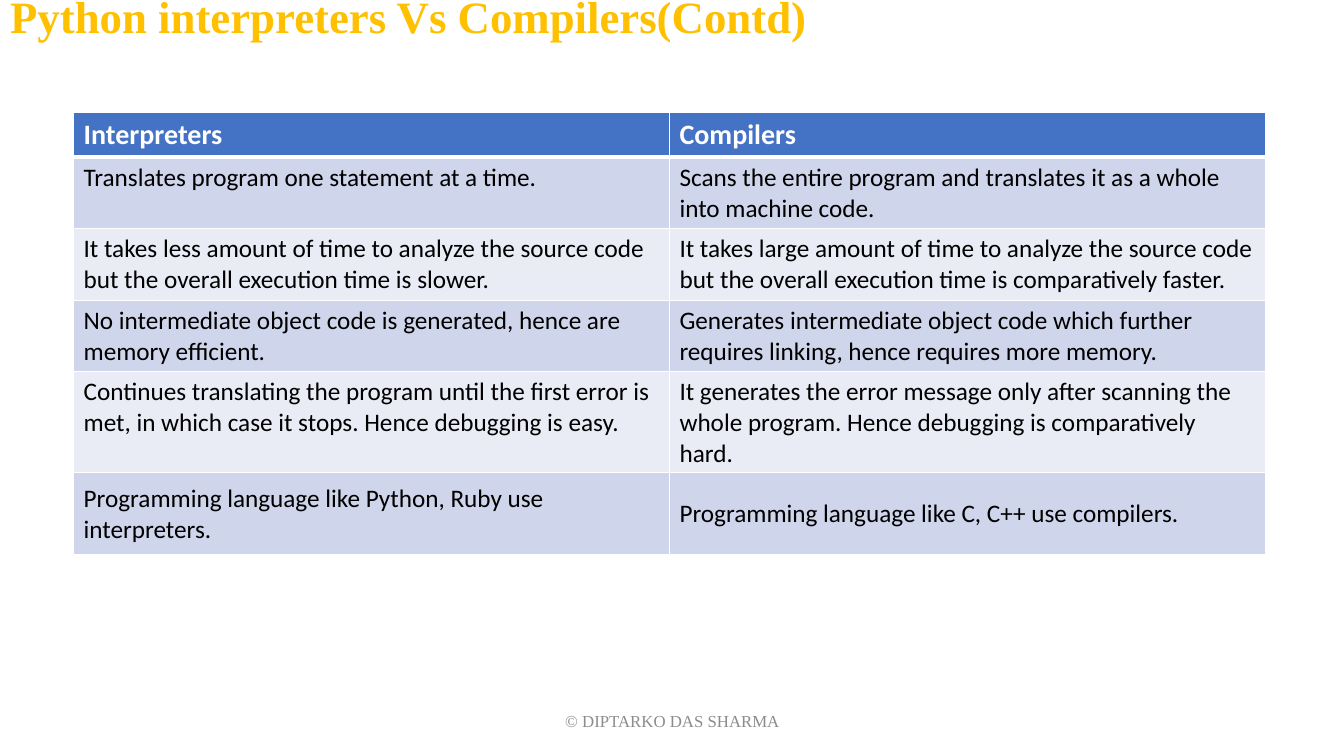
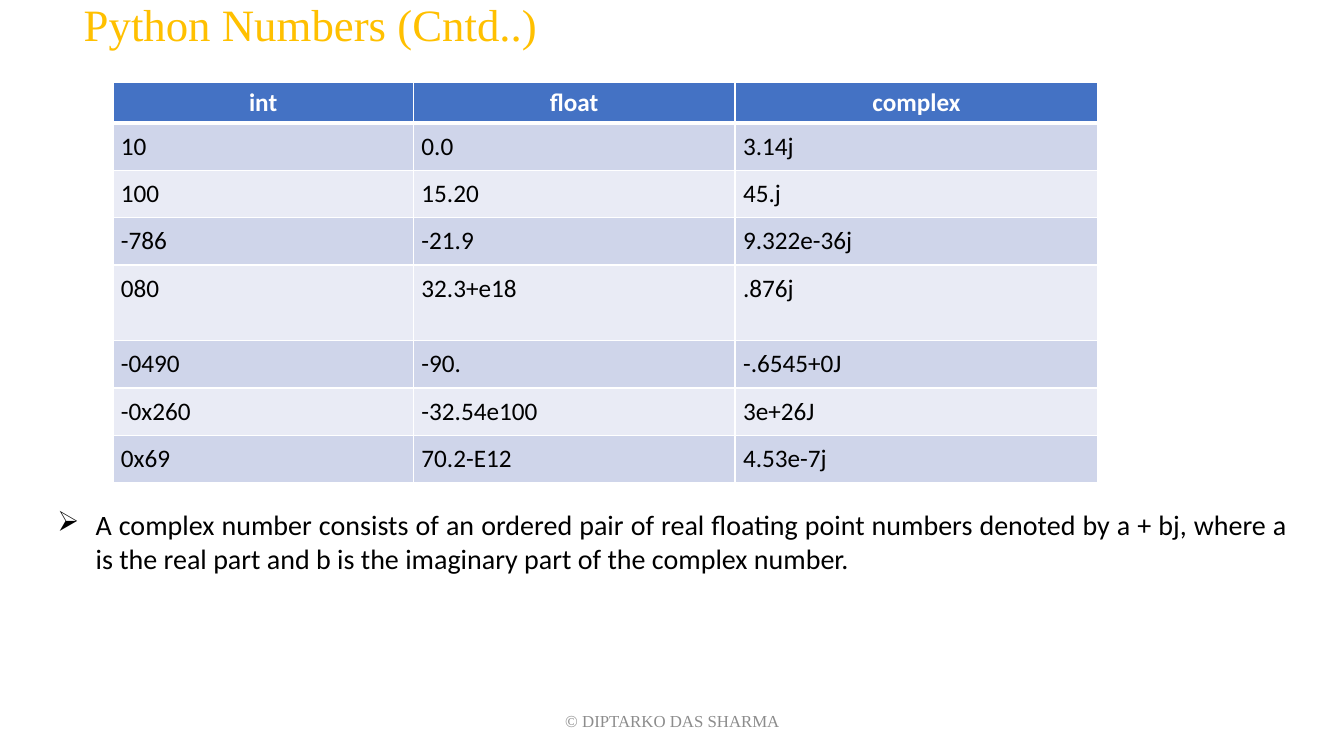
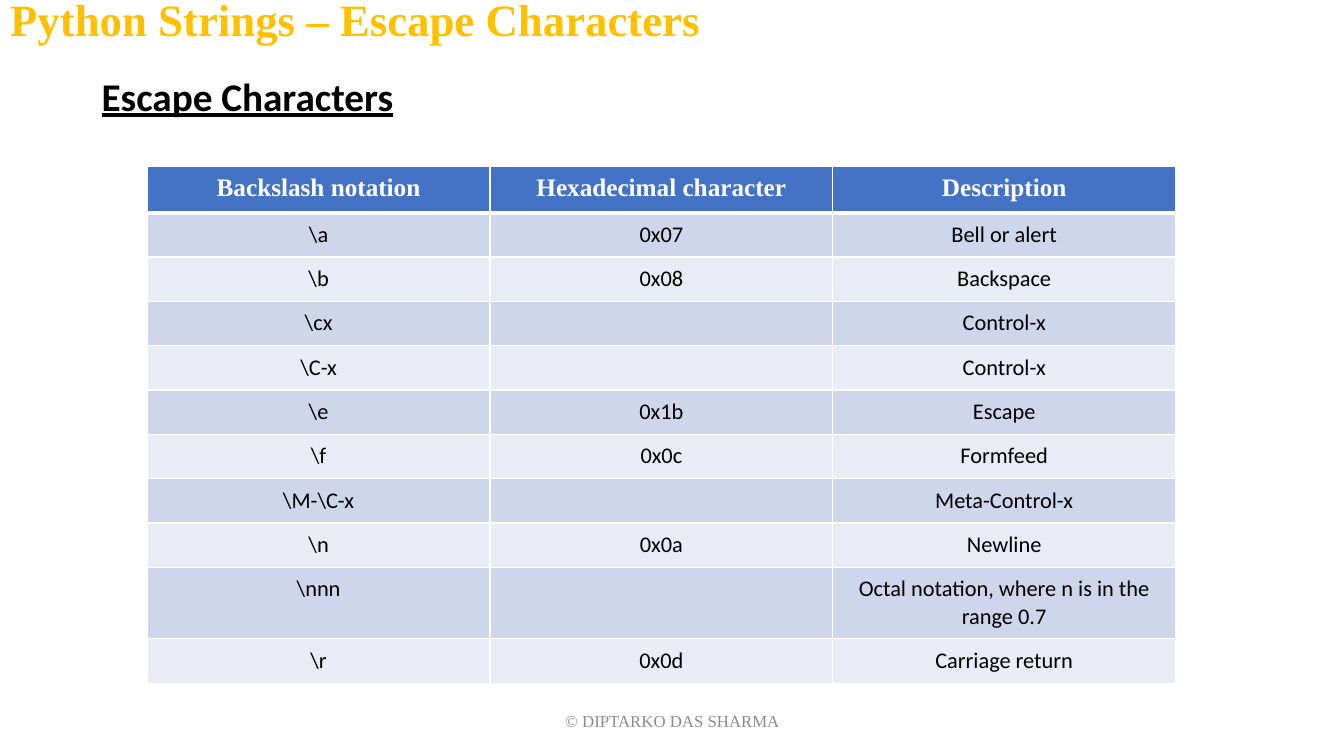
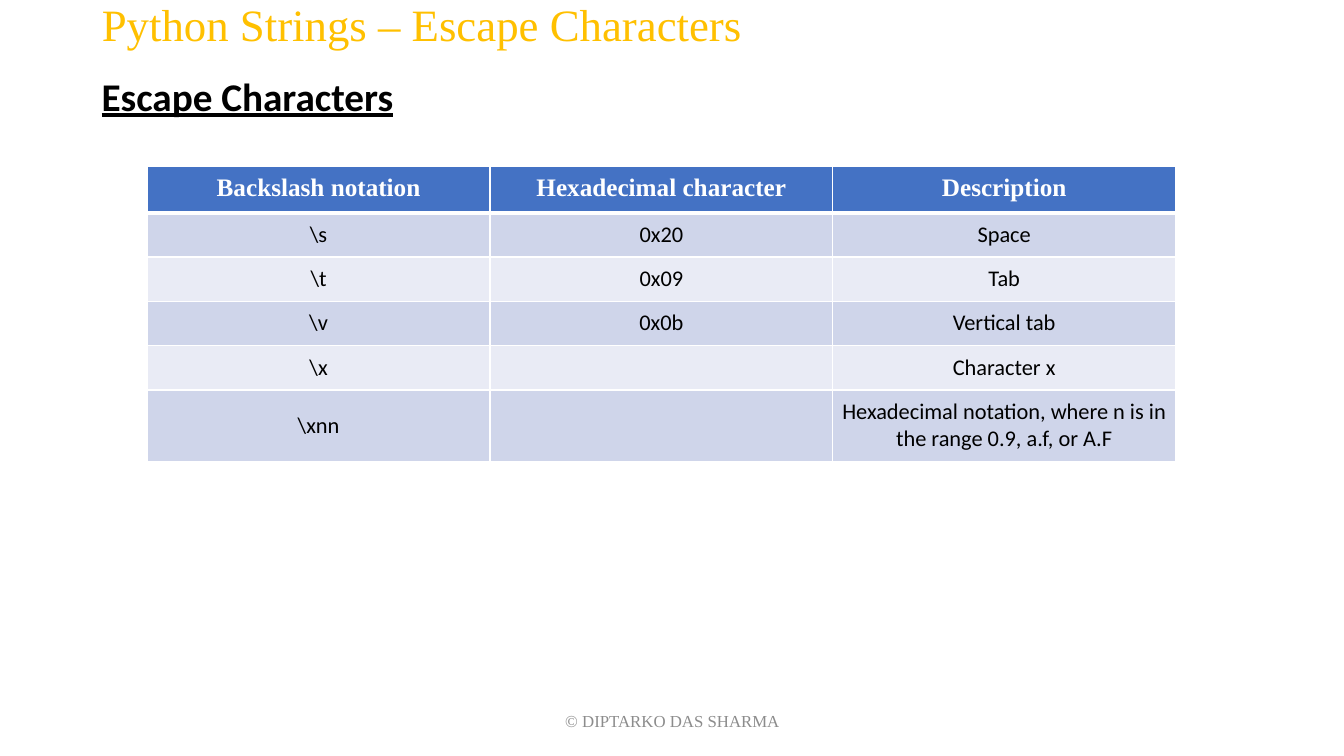
from dataclasses import dataclass
from typing import NamedTuple, Optional

from lxml.etree import SubElement
from pptx import Presentation
from pptx.dml.color import RGBColor
from pptx.enum.text import MSO_ANCHOR, MSO_AUTO_SIZE, PP_ALIGN
from pptx.oxml.ns import qn
from pptx.slide import Slide
from pptx.table import Table, _Cell
from pptx.text.text import TextFrame, _Paragraph
from pptx.util import Emu, Pt

EMU_PER_PX = 9144  # 100 px to the inch
COLORS = {
    "title": "FFC000",
    "header": "4472C4",
    "odd_row": "CFD5EA",
    "even_row": "E9EBF5",
    "white": "FFFFFF",
    "black": "000000",
    "footer": "8C8C8C",
}
SANS = "Calibri"
SERIF = "Times New Roman"
FOOTER_TEXT = "© DIPTARKO DAS SHARMA"


class Box(NamedTuple):
    left: int
    top: int
    width: int
    height: int


class Margins(NamedTuple):
    left: int
    right: int
    top: int
    bottom: int


class TextStyle(NamedTuple):
    size: int
    font: str = SANS
    color: str = "black"
    bold: bool = False
    underline: bool = False
    align: PP_ALIGN = PP_ALIGN.LEFT


@dataclass
class TableSpec:
    left: int
    top: int
    columns: list[int]
    row_heights: list[int]
    rows: list[tuple[str, ...]]
    header_style: TextStyle
    body_style: TextStyle
    header_margins: Margins
    body_margins: Margins


NARROW = Margins(10, 10, 5, 5)
EVEN = Margins(8, 8, 8, 8)
FOOTER_BOX = Box(442, 695, 450, 40)
FOOTER_STYLE = TextStyle(12, SERIF, "footer", align=PP_ALIGN.CENTER)
SUBTITLE_BOX = Box(91, 72, 1063, 640)
SUBTITLE_STYLE = TextStyle(28, bold=True, underline=True)


def px(value: int) -> Emu:
    return Emu(value * EMU_PER_PX)


def rgb(name: str) -> RGBColor:
    return RGBColor.from_string(COLORS[name])


def write(frame: TextFrame, text: str, style: TextStyle) -> _Paragraph:
    """Fill the first paragraph of a frame with styled text."""
    paragraph = frame.paragraphs[0]
    paragraph.text = text
    paragraph.alignment = style.align
    font = paragraph.font
    font.name = style.font
    font.size = Pt(style.size)
    font.bold = style.bold
    font.underline = style.underline
    font.color.rgb = rgb(style.color)
    return paragraph


def add_text(slide: Slide, box: Box, text: str, style: TextStyle) -> TextFrame:
    frame = slide.shapes.add_textbox(*map(px, box)).text_frame
    frame.word_wrap = True
    write(frame, text, style)
    return frame


def add_titled_slide(presentation: Presentation, title: str, box: Box, bold: bool) -> Slide:
    """Add a slide with the shared title style and footer."""
    slide = presentation.slides.add_slide(presentation.slide_layouts[5])
    shape = slide.shapes.title
    shape.left, shape.top, shape.width, shape.height = map(px, box)
    frame = shape.text_frame
    frame.auto_size = MSO_AUTO_SIZE.NONE
    frame.vertical_anchor = MSO_ANCHOR.MIDDLE
    write(frame, title, TextStyle(32, SERIF, "title", bold)).line_spacing = 0.9
    footer = add_text(slide, FOOTER_BOX, FOOTER_TEXT, FOOTER_STYLE)
    footer.vertical_anchor = MSO_ANCHOR.MIDDLE
    return slide


def add_subtitle(slide: Slide, text: str) -> None:
    paragraph = add_text(slide, SUBTITLE_BOX, text, SUBTITLE_STYLE).paragraphs[0]
    paragraph.line_spacing = 0.9
    paragraph.space_before = Pt(10)


def add_bullet(slide: Slide, box: Box, text: str, style: TextStyle) -> None:
    frame = add_text(slide, box, text, style)
    frame.auto_size = MSO_AUTO_SIZE.SHAPE_TO_FIT_TEXT
    properties = frame.paragraphs[0]._p.get_or_add_pPr()
    properties.set("marL", str(px(38)))
    properties.set("indent", str(px(-38)))
    bullet = properties.makeelement(qn("a:buChar"), {"char": "➢"})
    properties.insert(0, bullet)


def set_borders(cell: _Cell, top: int, bottom: int) -> None:
    """Draw white borders; widths are in points."""
    properties = cell._tc.get_or_add_tcPr()
    for side, width in (("L", 1), ("R", 1), ("T", top), ("B", bottom)):
        line = SubElement(properties, qn(f"a:ln{side}"), w=str(Pt(width)))
        fill = SubElement(line, qn("a:solidFill"))
        SubElement(fill, qn("a:srgbClr"), val=COLORS["white"])


def set_margins(cell: _Cell, margins: Margins) -> None:
    (cell.margin_left, cell.margin_right,
     cell.margin_top, cell.margin_bottom) = map(px, margins)


def add_grid(slide: Slide, spec: TableSpec) -> Table:
    """Add a banded table whose first row is the header."""
    box = Box(spec.left, spec.top, sum(spec.columns), sum(spec.row_heights))
    table = slide.shapes.add_table(
        len(spec.rows), len(spec.columns), *map(px, box)
    ).table
    for column, width in zip(table.columns, spec.columns):
        column.width = px(width)
    for row_index, (values, height) in enumerate(zip(spec.rows, spec.row_heights)):
        table.rows[row_index].height = px(height)
        is_header = row_index == 0
        band = "header" if is_header else "odd_row" if row_index % 2 else "even_row"
        for cell, text in zip(table.rows[row_index].cells, values):
            set_borders(cell, 3 if row_index == 1 else 1, 3 if is_header else 1)
            cell.fill.solid()
            cell.fill.fore_color.rgb = rgb(band)
            set_margins(cell, spec.header_margins if is_header else spec.body_margins)
            write(cell.text_frame, text, spec.header_style if is_header else spec.body_style)
    return table


def build_comparison(presentation: Presentation) -> None:
    slide = add_titled_slide(
        presentation, "Python interpreters Vs Compilers(Contd)", Box(0, 0, 1063, 38), True
    )
    rows = [
        ("Interpreters", "Compilers"),
        ("Translates program one statement at a time.",
         "Scans the entire program and translates it as a whole into machine code."),
        ("It takes less amount of time to analyze the source code but the overall "
         "execution time is slower.",
         "It takes large amount of time to analyze the source code but the overall "
         "execution time is comparatively faster."),
        ("No intermediate object code is generated, hence are memory efficient.",
         "Generates intermediate object code which further requires linking, hence "
         "requires more memory."),
        ("Continues translating the program until the first error is met, in which "
         "case it stops. Hence debugging is easy.",
         "It generates the error message only after scanning the whole program. Hence "
         "debugging is comparatively hard."),
        ("Programming language like Python, Ruby use interpreters.",
         "Programming language like C, C++ use compilers."),
    ]
    table = add_grid(slide, TableSpec(
        73, 112, [591] * 2, [44] + [71] * 4 + [81], rows,
        TextStyle(20, color="white", bold=True), TextStyle(18), NARROW, NARROW,
    ))
    for cell in table.rows[len(rows) - 1].cells:
        set_margins(cell, Margins(10, 8, 10, 9))
        cell.vertical_anchor = MSO_ANCHOR.MIDDLE


def build_numbers(presentation: Presentation) -> None:
    slide = add_titled_slide(
        presentation, "Python Numbers (Cntd..)", Box(73, 0, 1063, 53), False
    )
    rows = [
        ("int", "float", "complex"),
        ("10", "0.0", "3.14j"),
        ("100", "15.20", "45.j"),
        ("-786", "-21.9", "9.322e-36j"),
        ("080", "32.3+e18", ".876j"),
        ("-0490", "-90.", "-.6545+0J"),
        ("-0x260", "-32.54e100", "3e+26J"),
        ("0x69", "70.2-E12", "4.53e-7j"),
    ]
    add_grid(slide, TableSpec(
        112, 82, [298, 319, 360], [40] + [47] * 3 + [75] + [47] * 3, rows,
        TextStyle(18, color="white", bold=True, align=PP_ALIGN.CENTER),
        TextStyle(18), NARROW, EVEN,
    ))
    add_bullet(
        slide, Box(47, 499, 1240, 77),
        "A complex number consists of an ordered pair of real floating point numbers "
        "denoted by a + bj, where a is the real part and b is the imaginary part of "
        "the complex number.",
        TextStyle(20, align=PP_ALIGN.JUSTIFY),
    )


def build_escapes(
    presentation: Presentation,
    title_box: Box,
    bold: bool,
    rows: list[tuple[str, str, str]],
    tall_row: int,
    middle_row: Optional[int] = None,
) -> None:
    """Add one page of the escape character list; tall_row holds two lines."""
    slide = add_titled_slide(
        presentation, "Python Strings – Escape Characters", title_box, bold
    )
    add_subtitle(slide, "Escape Characters")
    rows = [("Backslash notation", "Hexadecimal character", "Description")] + rows
    heights = [43] + [71 if index == tall_row else 44 for index in range(1, len(rows))]
    table = add_grid(slide, TableSpec(
        146, 165, [340] * 3, heights, rows,
        TextStyle(18, SERIF, "white", True, align=PP_ALIGN.CENTER),
        TextStyle(16, align=PP_ALIGN.CENTER), EVEN, EVEN,
    ))
    if middle_row is not None:
        table.cell(middle_row, 0).vertical_anchor = MSO_ANCHOR.MIDDLE


def main() -> None:
    presentation = Presentation()
    presentation.slide_width = px(1333)
    presentation.slide_height = px(750)

    build_comparison(presentation)
    build_numbers(presentation)
    build_escapes(presentation, Box(0, 0, 1063, 44), True, [
        (r"\a", "0x07", "Bell or alert"),
        (r"\b", "0x08", "Backspace"),
        (r"\cx", "", "Control-x"),
        (r"\C-x", "", "Control-x"),
        (r"\e", "0x1b", "Escape"),
        (r"\f", "0x0c", "Formfeed"),
        (r"\M-\C-x", "", "Meta-Control-x"),
        (r"\n", "0x0a", "Newline"),
        (r"\nnn", "", "Octal notation, where n is in the range 0.7"),
        (r"\r", "0x0d", "Carriage return"),
    ], tall_row=9)
    build_escapes(presentation, Box(91, 5, 1063, 44), False, [
        (r"\s", "0x20", "Space"),
        (r"\t", "0x09", "Tab"),
        (r"\v", "0x0b", "Vertical tab"),
        (r"\x", "", "Character x"),
        (r"\xnn", "", "Hexadecimal notation, where n is in the range 0.9, a.f, or A.F"),
    ], tall_row=5, middle_row=5)

    presentation.save("out.pptx")


if __name__ == "__main__":
    main()
